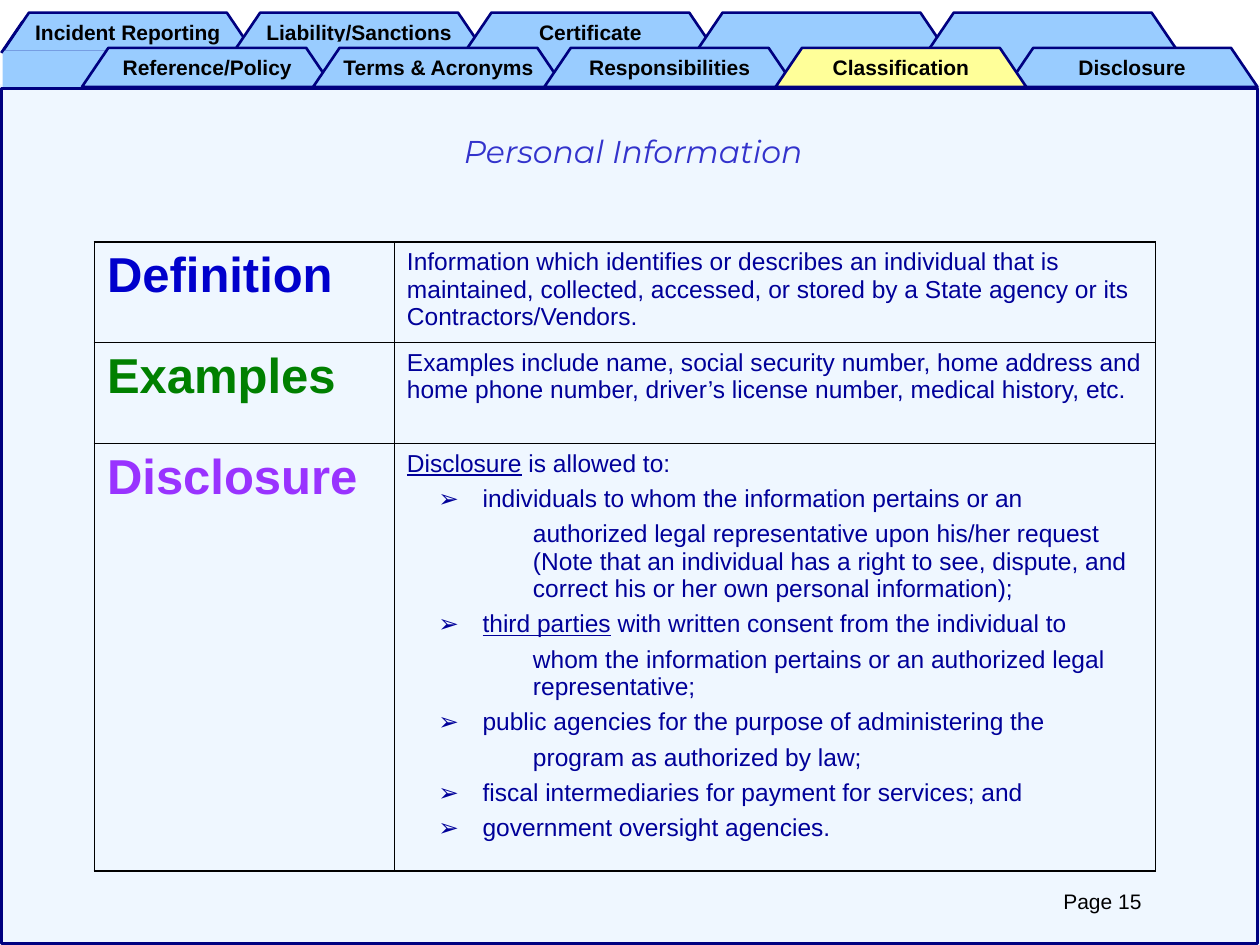
import pptx
import pptx.util
import pptx.dml.color
import pptx.enum.shapes
import pptx.enum.text
import pptx.oxml.ns
from lxml import etree

# Content
TABS = [
    ["Incident Reporting", "Liability/Sanctions", "Certificate", "", ""],
    ["Reference/Policy", "Terms & Acronyms", "Responsibilities",
     "Classification", "Disclosure"],
]
ACTIVE = "Classification"
TITLE = "Personal Information"
PAGE = "Page 15"

# Each paragraph is a level and its runs; a run is text and underline
ROWS = [
    ("Definition", "blue", [
        (0, [("Information which identifies or describes an individual that is "
              "maintained, collected, accessed, or stored by a State agency or "
              "its Contractors/Vendors.", False)])]),
    ("Examples", "green", [
        (0, [("Examples include name, social security number, home address and "
              "home phone number, driver’s license number, medical history, "
              "etc.", False)])]),
    ("Disclosure", "violet", [
        (0, [("Disclosure", True), (" is allowed to:", False)]),
        (1, [("individuals to whom the information pertains or an", False)]),
        (2, [("authorized legal representative upon his/her request (Note that "
              "an individual has a right to see, dispute, and correct his or "
              "her own personal information);", False)]),
        (1, [("third parties", True),
             (" with written consent from the individual to", False)]),
        (2, [("whom the information pertains or an authorized legal "
              "representative;", False)]),
        (1, [("public agencies for the purpose of administering the", False)]),
        (2, [("program as authorized by law;", False)]),
        (1, [("fiscal intermediaries for payment for services; and", False)]),
        (1, [("government oversight agencies.", False)])]),
]

COLORS = {
    "tab": "99CCFF", "active": "FFFF99", "navy": "000080", "black": "000000",
    "blue": "0000CC", "green": "008000", "violet": "9933FF",
    "body": "000099", "edge": "3333CC",
}

# Layout in inches
WIDE, HIGH = 10, 7.5
PITCH, TAB_W, TAB_H, SLANT = 1.835, 1.99, 0.31, 0.21
TAB_AT = [(0.02, 0.1), (0.65, 0.38)]
PATCHES = [(0.02, 0.4, 1.65, 0.3), (2.17, 0.33, 0.83, 0.25),
           (4, 0.38, 0.83, 0.25), (5.9, 0.36, 0.75, 0.25),
           (7.75, 0.38, 0.75, 0.25)]
COLS, HEIGHTS = [2.38, 6.04], [0.8, 0.8, 3.39]
INDENTS = [(0, 0), (0.6, -0.35), (1, 0)]

inch, point = pptx.util.Inches, pptx.util.Pt
align = pptx.enum.text.PP_ALIGN
qn = pptx.oxml.ns.qn

deck = pptx.Presentation()
deck.slide_width, deck.slide_height = inch(WIDE), inch(HIGH)
slide = deck.slides.add_slide(deck.slide_layouts[6])
shapes = slide.shapes


def rgb(name):
    return pptx.dml.color.RGBColor.from_string(COLORS[name])


def sub(node, tag, **attrs):
    return etree.SubElement(node, qn(tag), **attrs)


def paint(shape, fill=None, line=None):
    shape.shadow.inherit = False
    if fill:
        shape.fill.solid()
        shape.fill.fore_color.rgb = rgb(fill)
    else:
        shape.fill.background()
    if line:
        shape.line.color.rgb = rgb(line)
        shape.line.width = point(1.5)
    else:
        shape.line.fill.background()


def box(x, y, w, h, fill=None, line=None):
    kind = pptx.enum.shapes.MSO_SHAPE.RECTANGLE
    shape = shapes.add_shape(kind, inch(x), inch(y), inch(w), inch(h))
    paint(shape, fill, line)
    return shape


def write(para, text, size, color, bold=False, under=False, face="Arial"):
    run = para.add_run()
    run.text = text
    font = run.font
    font.name, font.size, font.bold = face, point(size), bold
    if under:
        font.underline = True
    font.color.rgb = rgb(color)
    return run


def fade(fill, share):
    color = fill.find(".//" + qn("a:srgbClr"))
    sub(color, "a:alpha", val=str(share * 1000))


def add_tab(row, col):
    text = TABS[row][col]
    x, y = TAB_AT[row]
    x += col * PITCH
    path = shapes.build_freeform(inch(x), inch(y + TAB_H))
    path.add_line_segments([
        (inch(x + SLANT), inch(y)), (inch(x + TAB_W - SLANT), inch(y)),
        (inch(x + TAB_W), inch(y + TAB_H))], close=True)
    shape = path.convert_to_shape()
    paint(shape, "active" if text == ACTIVE else "tab", "navy")
    if text:
        frame = shape.text_frame
        frame.word_wrap = False
        frame.vertical_anchor = pptx.enum.text.MSO_ANCHOR.MIDDLE
        para = frame.paragraphs[0]
        para.alignment = align.CENTER
        write(para, text, 12, "black", bold=True)


def label(x, y, w, h):
    frame = shapes.add_textbox(inch(x), inch(y), inch(w), inch(h)).text_frame
    frame.word_wrap = True
    para = frame.paragraphs[0]
    para.alignment = align.CENTER
    return para


def border(cell, row, col):
    outer = {"L": col == 0, "R": col == len(COLS) - 1,
             "T": row == 0, "B": row == len(ROWS) - 1}
    props = cell._tc.get_or_add_tcPr()
    for side, thick in outer.items():
        width = point(1.08 if thick else 0.45)
        line = sub(props, "a:ln" + side, w=str(width))
        sub(sub(line, "a:solidFill"), "a:srgbClr", val=COLORS["black"])
    cell.fill.background()


def indent(para, level):
    left, first = INDENTS[level]
    props = para._p.get_or_add_pPr()
    props.set("marL", str(inch(left)))
    props.set("indent", str(inch(first)))
    if level == 1:
        sub(props, "a:buFont", typeface="Wingdings 2")
        sub(props, "a:buChar", char="➢")
        props.find(qn("a:buFont")).set("typeface", "Arial")
    else:
        sub(props, "a:buNone")


# Upper tabs, each with a patch over its base
for col, patch in enumerate(PATCHES):
    add_tab(0, col)
    box(*patch, fill="tab")
    if col == 0:
        edge = shapes.add_connector(
            pptx.enum.shapes.MSO_CONNECTOR.STRAIGHT,
            inch(0.01), inch(0.42), inch(0.18), inch(0.17))
        edge.line.color.rgb = rgb("navy")
        edge.line.width = point(1.5)
        sub(edge._element.spPr, "a:effectLst")

# Tinted page, lower tabs and frame
page = box(0, 0.67, WIDE, HIGH - 0.67, fill="tab")
fade(page._element.spPr.find(qn("a:solidFill")), 15)
for col in (0, 1, 4):
    add_tab(1, col)
box(0.01, 0.7, 9.97, 6.79, line="navy")
for col in (2, 3):
    add_tab(1, col)

# Title with a thin outline
run = write(label(1.58, 1, 6.89, 0.58), TITLE, 18, "navy", face="Montserrat")
run.font.italic = True
props = run.font._element
fade(props.find(qn("a:solidFill")), 50)
line = etree.Element(qn("a:ln"), w=str(point(1)))
sub(sub(line, "a:solidFill"), "a:srgbClr", val=COLORS["edge"])
props.insert(0, line)

# Table
table = shapes.add_table(len(ROWS), len(COLS), inch(0.75), inch(1.92),
                         inch(sum(COLS)), inch(sum(HEIGHTS))).table
table.first_row = table.horz_banding = False
for col, width in enumerate(COLS):
    table.columns[col].width = inch(width)
for row, (head, color, paras) in enumerate(ROWS):
    table.rows[row].height = inch(HEIGHTS[row])
    name, body = table.cell(row, 0), table.cell(row, 1)
    border(name, row, 0)
    border(body, row, 1)
    write(name.text_frame.paragraphs[0], head, 28, color, bold=True)
    frame = body.text_frame
    for spot, (level, runs) in enumerate(paras):
        para = frame.add_paragraph() if spot else frame.paragraphs[0]
        indent(para, level)
        if spot:
            para.space_before = point(4.4)
        for text, under in runs:
            write(para, text, 14, "body", under=under)

# Page number
write(label(7.75, 7, 2, 0.3), PAGE, 12, "black")

deck.save("out.pptx")
